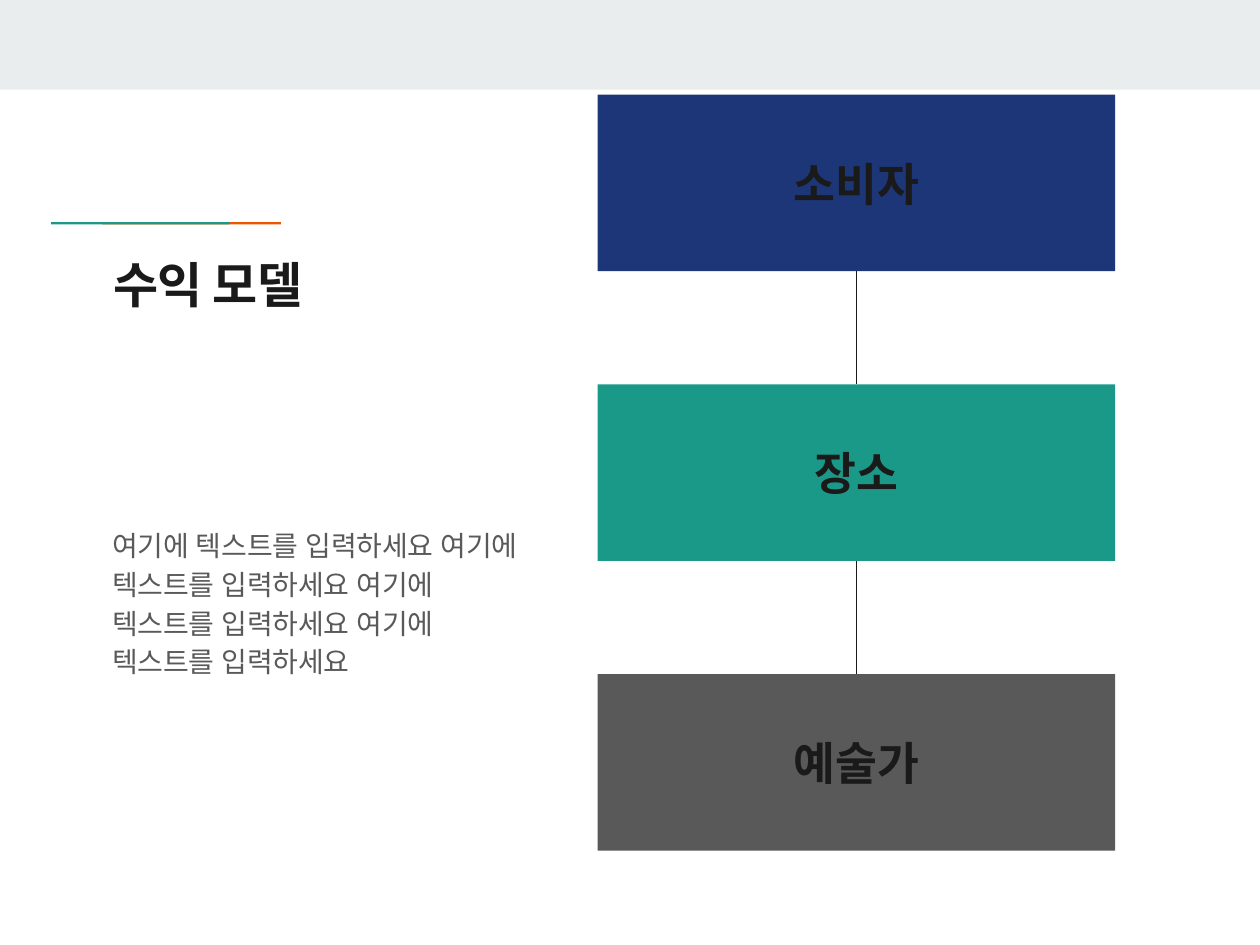
from dataclasses import dataclass

from lxml import etree
from pptx import Presentation
from pptx.dml.color import RGBColor
from pptx.enum.shapes import MSO_CONNECTOR, MSO_SHAPE
from pptx.enum.text import MSO_ANCHOR, MSO_AUTO_SIZE, PP_ALIGN
from pptx.oxml.ns import qn
from pptx.shapes.autoshape import Shape
from pptx.shapes.shapetree import GroupShapes, SlideShapes
from pptx.slide import Slide
from pptx.util import Cm, Pt

RECTANGLE = MSO_SHAPE.RECTANGLE
STRAIGHT = MSO_CONNECTOR.STRAIGHT
TOP, MIDDLE = MSO_ANCHOR.TOP, MSO_ANCHOR.MIDDLE
LEFT, CENTER = PP_ALIGN.LEFT, PP_ALIGN.CENTER
NO_AUTOFIT = MSO_AUTO_SIZE.NONE

COLORS = {
    "band": "E9EDEE",
    "orange": "EB5600",
    "teal": "1A9988",
    "navy": "1C3678",
    "gray": "595959",
    "ink": "1A1A1A",
}
HEADING_FONT, BODY_FONT = "Manrope", "Lato"
SLIDE_WIDTH, SLIDE_HEIGHT = 25.4, 19.05
STAGE_LEFT, STAGE_TOP = 12.05, 1.91
STAGE_WIDTH, STAGE_HEIGHT = 10.43, 3.56
STAGE_STEP = 5.84
ACCENT_WIDTH = 1.21


@dataclass
class Area:
    """Position and size in centimetres."""
    left: float
    top: float
    width: float
    height: float


@dataclass
class TextStyle:
    font: str
    size: float
    color: str
    bold: bool = False
    align: PP_ALIGN = LEFT
    anchor: MSO_ANCHOR = TOP


@dataclass
class Stage:
    label: str
    color: str


STAGES = [Stage("소비자", "navy"), Stage("장소", "teal"), Stage("예술가", "gray")]
ACCENTS = [
    ("orange", Area(3.04, 3.98, 0.05, 1.04)),
    ("teal", Area(2.74, 3.98, 0.05, 1.04)),
]
TITLE_STYLE = TextStyle(HEADING_FONT, 28, "ink", bold=True)
BODY_STYLE = TextStyle(BODY_FONT, 16, "gray")
STAGE_STYLE = TextStyle(HEADING_FONT, 26, "ink", True, CENTER, MIDDLE)


def rgb(name: str) -> RGBColor:
    return RGBColor.from_string(COLORS[name])


def place(shape: Shape, area: Area) -> None:
    shape.left, shape.top = Cm(area.left), Cm(area.top)
    shape.width, shape.height = Cm(area.width), Cm(area.height)


def write(shape: Shape, text: str, style: TextStyle) -> None:
    frame = shape.text_frame
    frame.text = text
    frame.word_wrap = True
    frame.auto_size = NO_AUTOFIT
    frame.vertical_anchor = style.anchor
    frame.margin_left = frame.margin_right = Cm(0.25)
    frame.margin_top = frame.margin_bottom = Cm(0.25)
    paragraph = frame.paragraphs[0]
    paragraph.alignment = style.align
    paragraph.space_before = Pt(0)
    run = paragraph.runs[0]
    font = run.font
    font.name, font.size, font.bold = style.font, Pt(style.size), style.bold
    font.color.rgb = rgb(style.color)
    for script in ("a:ea", "a:cs"):
        etree.SubElement(run._r.get_or_add_rPr(), qn(script), typeface=style.font)


def add_block(shapes: SlideShapes | GroupShapes, area: Area, color: str) -> Shape:
    """Add a plain filled rectangle without outline or shadow."""
    block = shapes.add_shape(
        RECTANGLE, Cm(area.left), Cm(area.top), Cm(area.width), Cm(area.height))
    block.shadow.inherit = False
    block.fill.solid()
    block.fill.fore_color.rgb = rgb(color)
    block.line.fill.background()
    return block


def add_accent(slide: Slide) -> None:
    """Lay two short bars on their side and stretch them as a group."""
    accent = slide.shapes.add_group_shape()
    for color, area in ACCENTS:
        add_block(accent.shapes, area, color).rotation = 270
    accent.width = Cm(ACCENT_WIDTH)


def add_link(slide: Slide, upper: Shape, lower: Shape) -> None:
    """Join the bottom of one stage to the top of the next."""
    link = slide.shapes.add_connector(STRAIGHT, 0, 0, 0, 0)
    link.begin_connect(upper, 2)
    link.end_connect(lower, 0)
    link.line.color.rgb = rgb("ink")
    link.line.width = Pt(0.75)
    etree.SubElement(link._element.spPr, qn("a:effectLst"))


def add_stages(slide: Slide) -> None:
    blocks = []
    for index, stage in enumerate(STAGES):
        top = STAGE_TOP + index * STAGE_STEP
        area = Area(STAGE_LEFT, top, STAGE_WIDTH, STAGE_HEIGHT)
        block = add_block(slide.shapes, area, stage.color)
        write(block, stage.label, STAGE_STYLE)
        blocks.append(block)
    for upper, lower in zip(blocks, blocks[1:]):
        add_link(slide, upper, lower)


def fill_placeholders(slide: Slide) -> None:
    title, body = slide.shapes.title, slide.placeholders[1]
    place(title, Area(2.03, 4.88, 9.17, 5.1))
    write(title, "수익 모델", TITLE_STYLE)

    place(body, Area(2.01, 10.31, 9.17, 5.92))
    write(body, " ".join(["여기에 텍스트를 입력하세요"] * 4), BODY_STYLE)
    paragraph = body.text_frame.paragraphs[0]
    paragraph.line_spacing = 1.15
    paragraph.space_after = Pt(16)
    properties = paragraph._p.get_or_add_pPr()
    properties.set("marL", "0")
    properties.set("indent", "0")
    etree.SubElement(properties, qn("a:buNone"))


def main() -> None:
    deck = Presentation()
    deck.slide_width, deck.slide_height = Cm(SLIDE_WIDTH), Cm(SLIDE_HEIGHT)
    slide = deck.slides.add_slide(deck.slide_layouts[1])
    add_block(slide.shapes, Area(0, 0, SLIDE_WIDTH, 1.81), "band")
    add_accent(slide)
    fill_placeholders(slide)
    add_stages(slide)
    deck.save("out.pptx")


if __name__ == "__main__":
    main()
